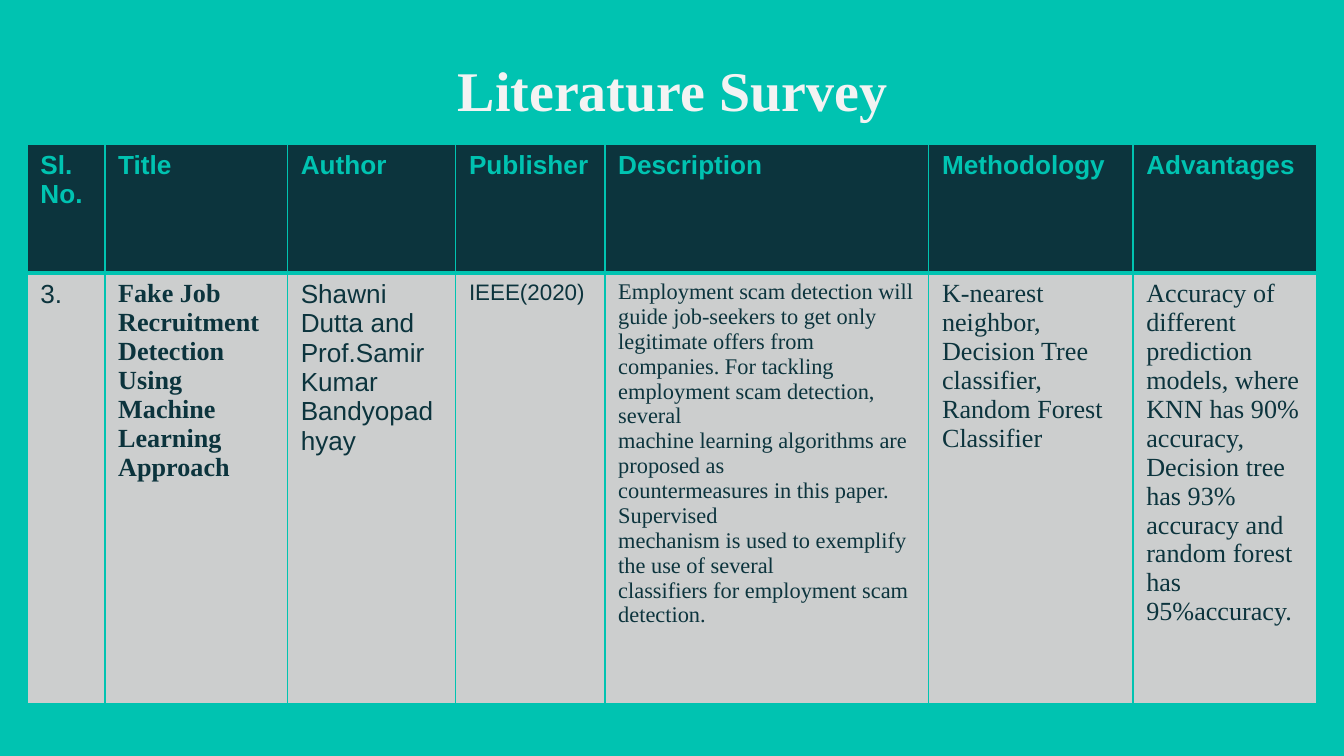
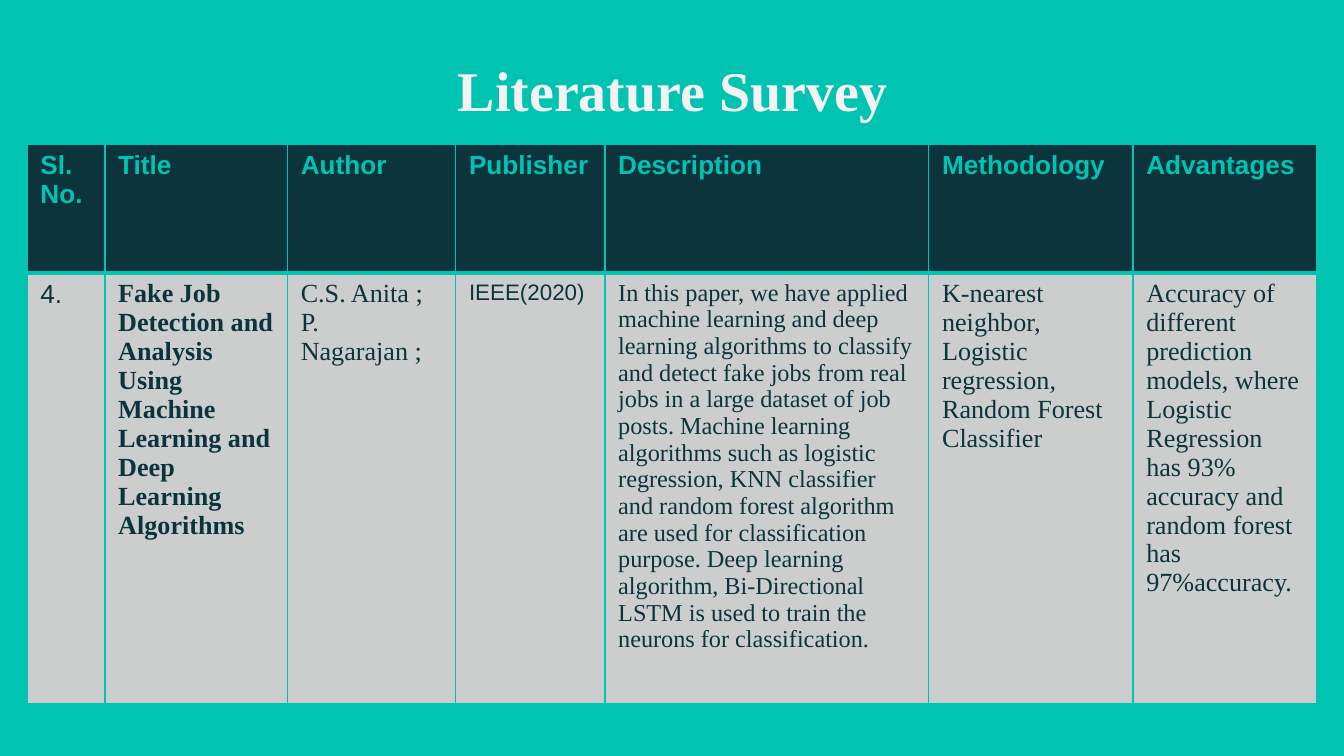
import copy

import lxml.etree
import pptx
import pptx.dml.color
import pptx.enum.text
import pptx.oxml.ns
import pptx.util

Cm, Pt, qn = pptx.util.Cm, pptx.util.Pt, pptx.oxml.ns.qn
TEAL, NAVY, GREY, WHITE = "00C3B1", "0C343D", "CCCECE", "F3F3F3"
SANS, SERIF = "Arial", "Times New Roman"

TITLE_BOX = (2.01, 0.71, 21.41, 1.6)
TABLE_BOX = (0.51, 2.72, 24.38, 10.59)
COLUMNS = (1.47, 3.45, 3.18, 2.82, 6.12, 3.86, 3.48)
HEADER_HEIGHT = 2.44
HEADERS = ("Sl.\vNo.", "Title", "Author", "Publisher", "Description",
           "Methodology", "Advantages")

TITLE = {"name": SERIF, "size": Pt(30), "bold": True}
HEADER = {"name": SANS, "size": Pt(14), "bold": True}
PLAIN = {"name": SANS, "size": Pt(14), "bold": False}
SMALL = {**PLAIN, "size": Pt(12)}
BODY = {**PLAIN, "name": SERIF}
STRONG = {**BODY, "bold": True}

PAPERS = [
    [
        (PLAIN, ["3."]),
        (STRONG, ["Fake Job Recruitment Detection Using Machine Learning",
                  "Approach"]),
        (PLAIN, ["Shawni Dutta and Prof.Samir Kumar Bandyopadhyay"]),
        (SMALL, ["IEEE(2020)"]),
        ({**BODY, "size": Pt(12)}, [
            "Employment scam detection will guide job-seekers to get only "
            "legitimate offers from companies. For tackling employment scam "
            "detection, several",
            "machine learning algorithms are proposed as",
            "countermeasures in this paper. Supervised",
            "mechanism is used to exemplify the use of several",
            "classifiers for employment scam detection."]),
        (BODY, ["K-nearest neighbor,", "Decision Tree classifier,",
                "Random Forest Classifier"]),
        (BODY, ["Accuracy of different prediction models, where",
                "KNN has 90% accuracy, Decision tree has 93% accuracy and "
                "random forest has 95%accuracy."]),
    ],
    [
        (PLAIN, ["4."]),
        (STRONG, ["Fake Job Detection and Analysis Using Machine Learning "
                  "and Deep Learning Algorithms"]),
        (BODY, ["C.S. Anita ;", "P. Nagarajan ;"]),
        (SMALL, ["IEEE(2020)"]),
        ({**BODY, "size": Pt(13)}, [
            "In this paper, we have applied machine learning and deep "
            "learning algorithms to classify and detect fake jobs from real "
            "jobs in a large dataset of job posts. Machine learning "
            "algorithms such as logistic regression, KNN classifier and "
            "random forest algorithm are used for classification purpose. "
            "Deep learning algorithm, Bi-Directional LSTM is used to train "
            "the neurons for classification."]),
        (BODY, ["K-nearest neighbor,", "Logistic regression,",
                "Random Forest Classifier"]),
        (BODY, ["Accuracy of different prediction models, where",
                "Logistic Regression has 93% accuracy and random forest has "
                "97%accuracy."]),
    ],
]


def rgb(value):
    """Turn a hex string into a colour."""
    return pptx.dml.color.RGBColor.from_string(value)


def set_attrs(obj, values):
    """Set each attribute named in a dict."""
    for name, value in values.items():
        setattr(obj, name, value)


def fill_solid(fill, color):
    """Give a fill one solid colour."""
    fill.solid()
    fill.fore_color.rgb = rgb(color)


def write(tf, paragraphs, fmt, color):
    """Write paragraphs in one format."""
    for i, text in enumerate(paragraphs):
        p = tf.paragraphs[0] if i == 0 else tf.add_paragraph()
        p.text = text
        for r in p.runs:
            set_attrs(r.font, fmt)
            r.font.color.rgb = rgb(color)
        for br in p._p.findall(qn("a:br")):
            br.append(copy.deepcopy(p.runs[0]._r.rPr))


def set_borders(cell, widths):
    """Draw teal borders of the given point widths, in the order L, R, T, B."""
    tc_pr = cell._tc.get_or_add_tcPr()
    for side, width in zip("LRTB", widths):
        ln = lxml.etree.SubElement(tc_pr, qn(f"a:ln{side}"), w=str(Pt(width)))
        fill = lxml.etree.SubElement(ln, qn("a:solidFill"))
        lxml.etree.SubElement(fill, qn("a:srgbClr"), val=TEAL)


def add_title(s, box, text):
    """Add the centred slide title."""
    tf = s.shapes.add_textbox(*map(Cm, box)).text_frame
    set_attrs(tf, {"word_wrap": True, "margin_top": Cm(0.35),
                   "margin_bottom": 0, "margin_left": Cm(0.25),
                   "margin_right": Cm(0.25)})
    write(tf, [text], TITLE, WHITE)
    tf.paragraphs[0].alignment = pptx.enum.text.PP_ALIGN.CENTER


def add_survey_table(s, box, paper):
    """Add the table of headers and one paper."""
    table = s.shapes.add_table(2, len(COLUMNS), *map(Cm, box)).table
    for column, width in zip(table.columns, COLUMNS):
        column.width = Cm(width)
    for row, height in zip(table.rows, (HEADER_HEIGHT, box[3] - HEADER_HEIGHT)):
        row.height = Cm(height)
    headers = [(HEADER, [text]) for text in HEADERS]
    styles = ((headers, TEAL, NAVY, (1, 1, 1, 3)),
              (paper, NAVY, GREY, (1, 1, 3, 1)))
    for i, (entries, color, back, widths) in enumerate(styles):
        for j, (fmt, paragraphs) in enumerate(entries):
            cell = table.cell(i, j)
            set_borders(cell, widths)
            fill_solid(cell.fill, back)
            write(cell.text_frame, paragraphs, fmt, color)


def add_survey_slide(prs, paper):
    """Add one literature survey slide."""
    s = prs.slides.add_slide(prs.slide_layouts[6])
    fill_solid(s.background.fill, TEAL)
    add_title(s, TITLE_BOX, "Literature Survey")
    add_survey_table(s, TABLE_BOX, paper)


def main():
    """Build and save the slides."""
    prs = pptx.Presentation()
    set_attrs(prs, {"slide_width": Cm(25.4), "slide_height": Cm(14.29)})
    for paper in PAPERS:
        add_survey_slide(prs, paper)
    prs.save("out.pptx")


if __name__ == "__main__":
    main()
